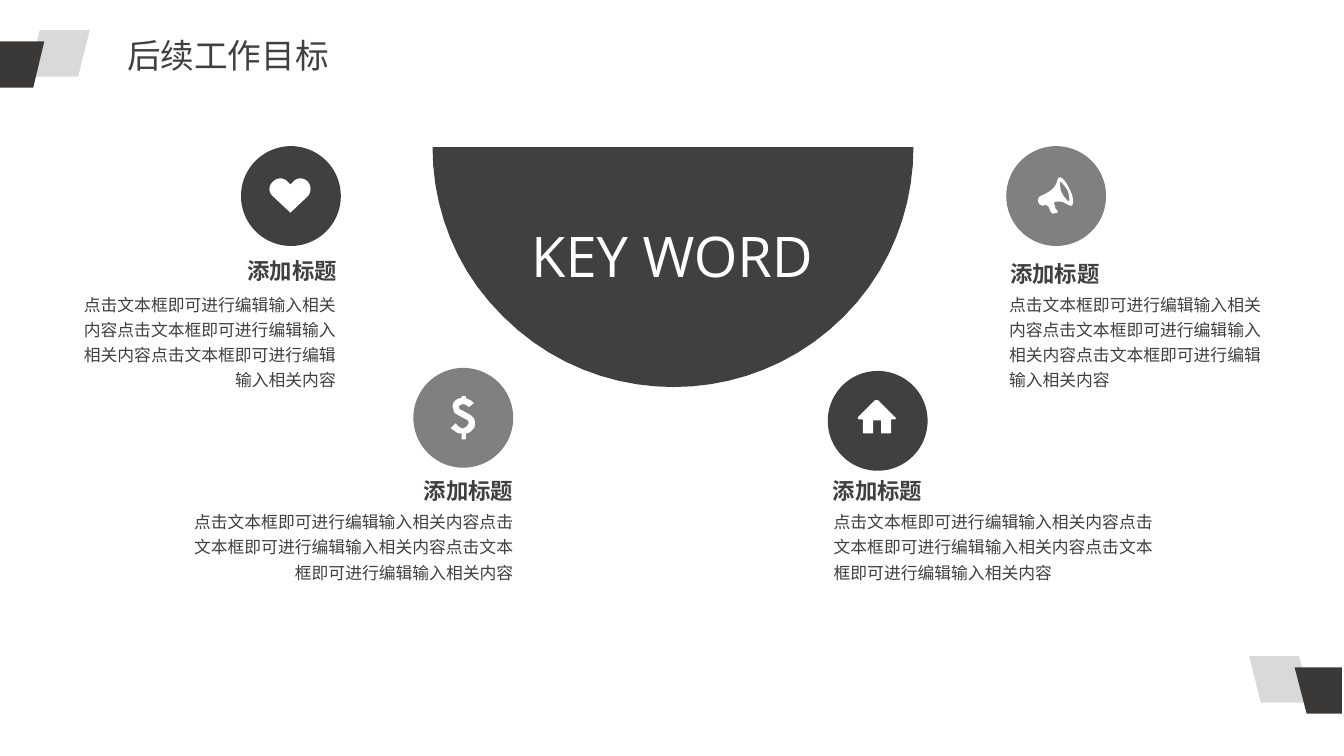
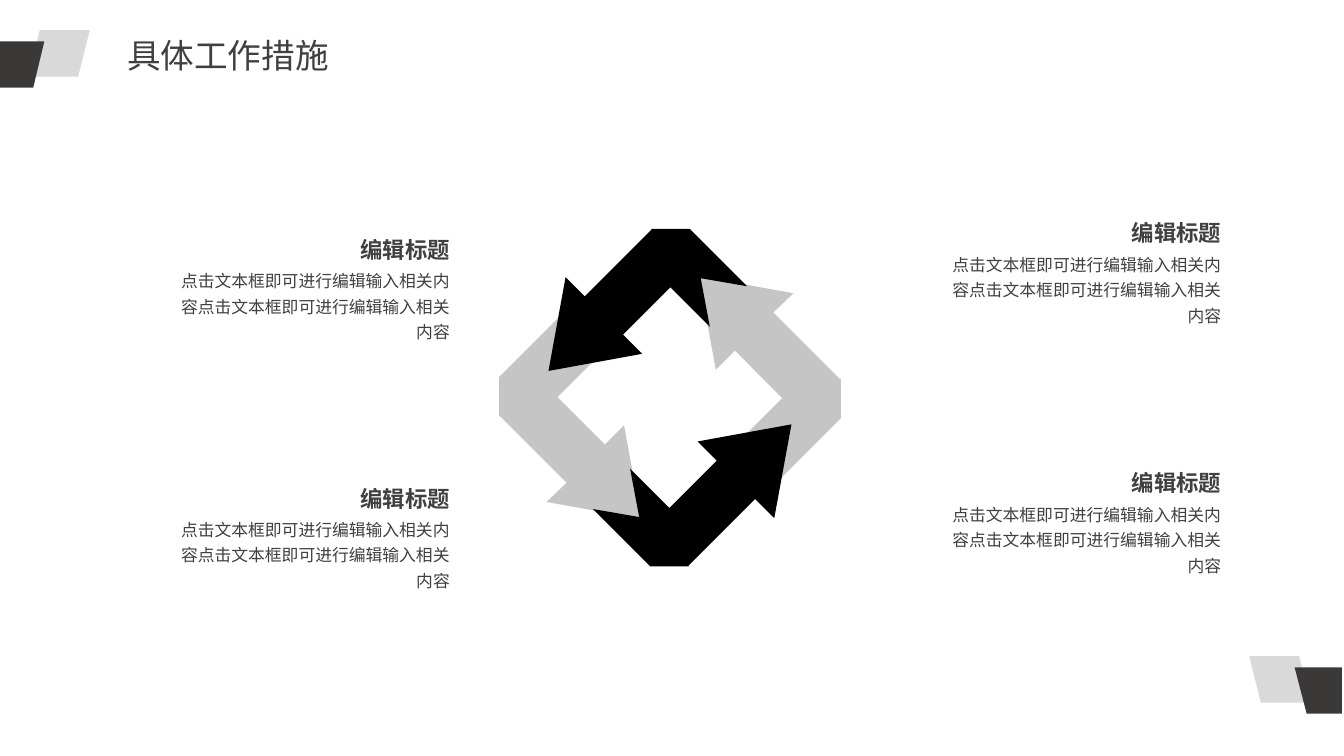
from lxml import etree
from pptx import Presentation
from pptx.dml.color import RGBColor
from pptx.enum import shapes as kinds, text as enums
from pptx.oxml import ns
from pptx.util import Inches, Pt

DARK = RGBColor(0x40, 0x40, 0x40)
EDGE = RGBColor(0x3B, 0x38, 0x38)
GREY = RGBColor(0x80, 0x80, 0x80)
PALE = RGBColor(0xD9, 0xD9, 0xD9)
SILVER = RGBColor(0xBF, 0xBF, 0xBF)
BLACK = RGBColor(0, 0, 0)
WHITE = RGBColor(0xFF, 0xFF, 0xFF)

HAN = "Noto Sans CJK SC"
LEFT, RIGHT = enums.PP_ALIGN.LEFT, enums.PP_ALIGN.RIGHT
GROW = enums.MSO_AUTO_SIZE.SHAPE_TO_FIT_TEXT
MIDDLE = enums.MSO_ANCHOR.MIDDLE
FLUSH = dict.fromkeys(
    ("margin_left", "margin_top", "margin_right", "margin_bottom"), 0)

# Text styles: frame, paragraph and font values
TITLE = {
    "frame": {"auto_size": GROW, "vertical_anchor": enums.MSO_ANCHOR.TOP},
    "para": {"alignment": enums.PP_ALIGN.JUSTIFY},
    "font": {"size": Pt(24), "name": HAN},
}
BODY = {
    "frame": {"auto_size": GROW},
    "para": {"line_spacing": 1.25},
    "font": {"size": Pt(12), "name": HAN},
}
HEAD = {
    "frame": {"auto_size": GROW},
    "para": {},
    "font": {"size": Pt(16), "name": HAN, "bold": True},
}
LABEL = {
    "frame": {"vertical_anchor": MIDDLE, **FLUSH},
    "para": {"line_spacing": 0.9, "space_before": Pt(10)},
    "font": HEAD["font"],
}
KEY = {
    "frame": {"vertical_anchor": MIDDLE},
    "para": {"line_spacing": Pt(48), "space_before": Pt(6)},
    "font": {"size": Pt(40), "name": "Open Sans"},
}

PHRASE = "点击文本框即可进行编辑输入相关内容"

# Outlines in inches, one string a loop: M move, L line, C curve
BOWL = ["""M 6.68 3.84 C 7.29 3.84 7.9 3.61 8.37 3.14
C 8.83 2.68 9.06 2.07 9.06 1.46 L 4.29 1.46
C 4.29 2.07 4.52 2.68 4.99 3.14 C 5.46 3.61 6.07 3.84 6.68 3.84"""]
HEART = ["""M 3.05 1.8 C 3.01 1.76 2.95 1.76 2.91 1.8 L 2.88 1.83 L 2.85 1.8
C 2.81 1.76 2.75 1.76 2.71 1.8 C 2.66 1.84 2.66 1.91 2.71 1.95
L 2.88 2.11 L 3.05 1.95 C 3.09 1.91 3.09 1.84 3.05 1.8"""]
DOLLAR = ["""M 4.7 4 L 4.65 4.04 C 4.63 4.02 4.61 4.01 4.59 4.01
L 4.56 4.02 L 4.55 4.04 L 4.56 4.06 L 4.6 4.08 L 4.67 4.12 L 4.7 4.15
C 4.71 4.17 4.71 4.18 4.71 4.2 C 4.71 4.22 4.71 4.23 4.7 4.25
L 4.67 4.28 C 4.66 4.29 4.64 4.3 4.62 4.3
L 4.62 4.36 L 4.58 4.36 L 4.58 4.3 C 4.56 4.3 4.54 4.3 4.53 4.29
L 4.47 4.25 L 4.52 4.2 C 4.54 4.23 4.57 4.25 4.6 4.25
L 4.63 4.23 L 4.65 4.2 L 4.64 4.17 L 4.6 4.15 L 4.53 4.11
C 4.51 4.1 4.5 4.09 4.5 4.07 L 4.49 4.04 C 4.49 4.01 4.5 3.99 4.51 3.98
C 4.53 3.96 4.55 3.95 4.58 3.95 L 4.58 3.93 L 4.62 3.93 L 4.62 3.95
L 4.66 3.97 C 4.67 3.97 4.68 3.98 4.7 4"""]
HOUSE = ["""M 8.88 4.14 L 8.71 3.97 C 8.7 3.97 8.69 3.97 8.68 3.97 L 8.51 4.14
C 8.51 4.15 8.51 4.16 8.52 4.16 L 8.56 4.16 L 8.56 4.29
C 8.56 4.3 8.56 4.3 8.57 4.3 L 8.66 4.3 L 8.66 4.17 L 8.74 4.17 L 8.74 4.3
L 8.83 4.3 C 8.84 4.3 8.84 4.3 8.84 4.29 L 8.84 4.16 L 8.87 4.16
C 8.89 4.16 8.89 4.15 8.88 4.14"""]
HORN = ["""M 10.6 2 C 10.6 2 10.56 1.97 10.53 1.91 C 10.51 1.86 10.51 1.8 10.52 1.8
C 10.52 1.8 10.56 1.84 10.59 1.89 C 10.61 1.95 10.61 2 10.6 2""",
        """M 10.61 1.88 C 10.58 1.81 10.53 1.75 10.51 1.76
C 10.46 1.78 10.53 1.86 10.31 1.95 C 10.3 1.96 10.29 1.99 10.3 2.01
C 10.31 2.03 10.33 2.04 10.35 2.04 L 10.37 2.03
L 10.4 2.05 L 10.42 2.1 L 10.44 2.12 L 10.49 2.11 L 10.49 2.09 L 10.47 2.07
L 10.46 2.03 C 10.45 2.01 10.46 2 10.48 2
C 10.57 1.99 10.59 2.05 10.63 2.04 C 10.65 2.03 10.65 1.95 10.61 1.88"""]
PALE_ARROW = [
    (7.59, 4.9), (7.2, 4.51), (7.76, 3.95), (7.29, 3.48), (7.1, 3.67), (6.93, 2.74),
    (7.87, 2.91), (7.67, 3.1), (8.33, 3.76), (8.34, 3.76), (8.34, 4.15)]
BLACK_ARROW = [
    (6.84, 2.27), (7.41, 2.84), (6.95, 2.76), (7.04, 3.24), (6.65, 2.85), (6.18, 3.32),
    (6.37, 3.51), (5.44, 3.68), (5.61, 2.75), (5.8, 2.94), (6.46, 2.28), (6.46, 2.27)]


def box(*sides):
    return [Inches(side) for side in sides]


def assign(target, values):
    for name, value in values.items():
        setattr(target, name, value)


def paint(shape, color, alpha=None):
    shape.shadow.inherit = False
    shape.fill.solid()
    shape.fill.fore_color.rgb = color
    shape.line.fill.background()
    if alpha:
        tint = shape._element.spPr.find(".//" + ns.qn("a:srgbClr"))
        etree.SubElement(tint, ns.qn("a:alpha"), val=str(alpha * 1000))


def preset(shapes, kind, at, color):
    shape = shapes.add_shape(kind, *box(*at))
    paint(shape, color)
    return shape


def outline(shapes, loops, color, alpha=None):
    first, *rest = [[box(*point) for point in loop] for loop in loops]
    pen = shapes.build_freeform(*first[0])
    pen.add_line_segments(first[1:], close=True)
    for loop in rest:
        pen.move_to(*loop[0])
        pen.add_line_segments(loop[1:], close=True)
    paint(pen.convert_to_shape(), color, alpha)


def bend(start, ends, steps=10):
    """Points along a cubic curve."""
    for step in range(1, steps + 1):
        t = step / steps
        mix = ((1 - t) ** 3, 3 * t * (1 - t) ** 2, 3 * t * t * (1 - t), t ** 3)
        yield tuple(sum(m * p[axis] for m, p in zip(mix, [start, *ends]))
                    for axis in (0, 1))


def trace(data):
    """Turn M, L and C commands into a loop of points."""
    loop, words = [], iter(data.split())
    for word in words:
        count = 3 if word == "C" else 1
        points = [(float(next(words)), float(next(words))) for _ in range(count)]
        loop += list(bend(loop[-1], points)) if word == "C" else points
    return loop


def draw(slide, icon, color):
    outline(slide.shapes, [trace(data) for data in icon], color)


def write(shape, words, style, color=DARK, align=None):
    frame = shape.text_frame
    frame.word_wrap = True
    assign(frame, style["frame"])
    para = frame.paragraphs[0]
    assign(para, style["para"])
    if align is not None:
        para.alignment = align
    run = para.add_run()
    run.text = words
    assign(run.font, style["font"])
    run.font.color.rgb = color
    etree.SubElement(run._r.get_or_add_rPr(), ns.qn("a:ea"),
                     typeface=style["font"]["name"])


def note(slide, at, words, style, align, color=DARK):
    write(slide.shapes.add_textbox(*box(*at)), words, style, color, align)


def corner(slide, left, top, edge, flip=False):
    group = slide.shapes.add_group_shape().shapes
    tile = preset(group, kinds.MSO_SHAPE.PARALLELOGRAM, (left, top, 0.61, 0.46), PALE)
    if flip:
        tile._element.spPr.xfrm.set("flipH", "1")
    outline(group, [edge], EDGE)


def start(deck, words):
    slide = deck.slides.add_slide(deck.slide_layouts[5])
    corner(slide, 0.28, 0.3, [(-0.03, 0.41), (0.44, 0.41), (0.33, 0.87), (-0.03, 0.87)])
    corner(slide, 12.39, 6.51,
           [(13.31, 6.62), (12.84, 6.62), (12.96, 7.08), (13.31, 7.08)], flip=True)
    title = slide.shapes.title
    assign(title, dict(zip(("left", "top", "width", "height"),
                           box(1.16, 0.3, 5.93, 0.5))))
    write(title, words, TITLE)
    return slide


def goals(deck):
    slide = start(deck, "后续工作目标")
    draw(slide, BOWL, DARK)
    note(slide, (5.14, 1.83, 3.05, 1.41), "KEY WORD", KEY,
         enums.PP_ALIGN.CENTER, WHITE)
    # Disc, icon, label and body of each goal
    rows = [
        ((2.39, 1.45), DARK, HEART, (1.75, 2.48), (0.69, 2.82, 2.74, 1.11), RIGHT),
        ((4.1, 3.65), GREY, DOLLAR, (3.5, 4.66), (1.81, 4.98, 3.38, 0.86), RIGHT),
        ((9.98, 1.45), GREY, HORN, (10.02, 2.51), (9.91, 2.82, 2.74, 1.11), LEFT),
        ((8.21, 3.68), DARK, HOUSE, (8.26, 4.66), (8.17, 4.98, 3.38, 0.86), LEFT),
    ]
    for disc, color, icon, label, body, align in rows:
        preset(slide.shapes, kinds.MSO_SHAPE.OVAL, (*disc, 0.99, 0.99), color)
        draw(slide, icon, WHITE)
        note(slide, (*label, 1.59, 0.45), "添加标题", LABEL, align)
        note(slide, body, PHRASE * 3, BODY, align)


def steps(deck):
    slide = start(deck, "具体工作措施")
    # Each arrow is paired with its half turn about the centre
    ring = slide.shapes.add_group_shape().shapes
    for arrow, color, alpha in ((PALE_ARROW, SILVER, 90), (BLACK_ARROW, BLACK, None)):
        outline(ring, [arrow], color, alpha)
        outline(ring, [[(13.29 - x, 7.89 - y) for x, y in arrow]], color, alpha)
    for left, top in ((1.59, 2.29), (1.59, 4.76), (9.24, 2.13), (9.24, 4.61)):
        note(slide, (left, top + 0.3, 2.97, 0.86), PHRASE * 2, BODY, RIGHT)
        note(slide, (left + 1.61, top, 1.36, 0.37), "编辑标题", HEAD, RIGHT)


def main():
    deck = Presentation()
    deck.slide_width, deck.slide_height = box(13.33, 7.5)
    goals(deck)
    steps(deck)
    deck.save("out.pptx")


main()
